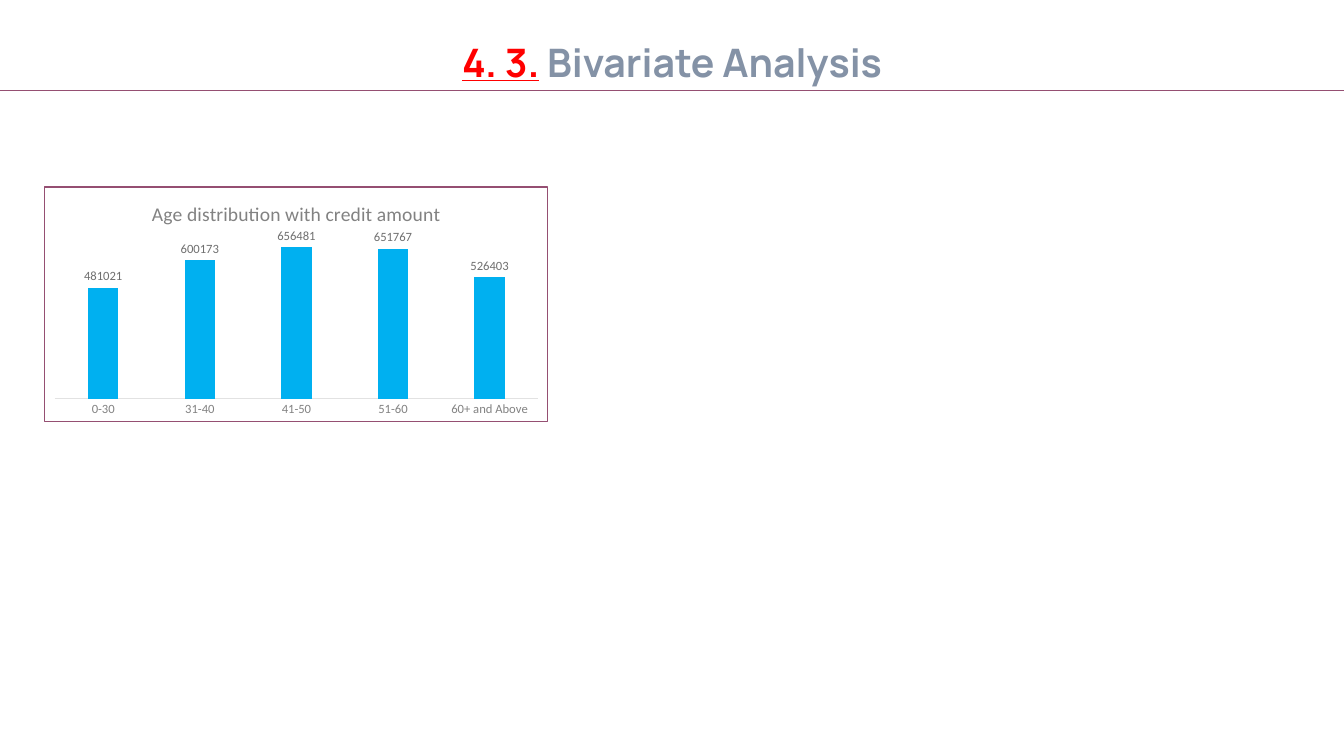
import pptx
import pptx.chart.data
import pptx.dml.color
import pptx.enum.chart
import pptx.enum.shapes
import pptx.enum.text
import pptx.oxml
import pptx.oxml.ns
import pptx.util
from pptx.util import Inches

COLORS = {
    "number": "FF0000",
    "heading": "8492A6",
    "border": "954F72",
    "bar": "00B0F0",
    "axis": "E2E2E2",
    "axis_text": "828282",
    "label": "6F6F6F",
    "paper": "FFFFFF",
}
SLIDE_W, SLIDE_H = 13.33, 7.5
CREDIT_BY_AGE = {
    "0-30": 481021,
    "31-40": 600173,
    "41-50": 656481,
    "51-60": 651767,
    "60+ and Above": 526403,
}


def rgb(name):
    return pptx.dml.color.RGBColor.from_string(COLORS[name])


def style_font(font, size, color, name="Calibri", bold=False, underline=False):
    font.size = pptx.util.Pt(size)
    font.name = name
    font.bold = bold
    font.underline = underline
    font.color.rgb = rgb(color)


def add_text(p, text, **fmt):
    r = p.add_run()
    r.text = text
    style_font(r.font, **fmt)
    return r


def add_heading(slide, x, y, w, h):
    # Title
    sp = slide.shapes.title
    sp.left, sp.top, sp.width, sp.height = map(Inches, (x, y, w, h))
    tf = sp.text_frame
    tf.word_wrap = True
    tf.auto_size = pptx.enum.text.MSO_AUTO_SIZE.SHAPE_TO_FIT_TEXT
    tf.vertical_anchor = pptx.enum.text.MSO_ANCHOR.TOP
    p = tf.paragraphs[0]
    p.alignment = pptx.enum.text.PP_ALIGN.CENTER
    add_text(p, "4. 3.", size=28, color="number", name="Manrope", bold=True, underline=True)
    add_text(p, " Bivariate Analysis", size=28, color="heading", name="Manrope", bold=True)

    # Rule along the bottom of the title
    rule = slide.shapes.add_connector(
        pptx.enum.shapes.MSO_CONNECTOR.STRAIGHT,
        Inches(x), Inches(y + h), Inches(x + w), Inches(y + h))
    rule.line.color.rgb = rgb("border")
    rule.line.width = pptx.util.Pt(0.5)
    rule._element.spPr.append(pptx.oxml.parse_xml(
        f'<a:effectLst {pptx.oxml.ns.nsdecls("a")}/>'))


def frame_chart(chart):
    # Chart area fill and border
    chart_space = chart._chartSpace
    chart_space.find(pptx.oxml.ns.qn("c:chart")).addnext(pptx.oxml.parse_xml(
        f'<c:spPr {pptx.oxml.ns.nsdecls("c", "a")}>'
        f'<a:solidFill><a:srgbClr val="{COLORS["paper"]}"/></a:solidFill>'
        f'<a:ln w="9525"><a:solidFill><a:srgbClr val="{COLORS["border"]}"/>'
        '</a:solidFill></a:ln></c:spPr>'))


def add_age_chart(slide, x, y, w, h):
    data = pptx.chart.data.CategoryChartData(number_format="0")
    data.categories = list(CREDIT_BY_AGE)
    data.add_series("Series 1", list(CREDIT_BY_AGE.values()))
    chart = slide.shapes.add_chart(
        pptx.enum.chart.XL_CHART_TYPE.COLUMN_CLUSTERED,
        Inches(x), Inches(y), Inches(w), Inches(h), data).chart
    style_font(chart.font, size=10, color="axis_text")
    frame_chart(chart)

    # Chart title
    chart.has_legend = False
    chart.has_title = True
    add_text(chart.chart_title.text_frame.paragraphs[0],
             "Age distribution with credit amount", size=14, color="axis_text")
    chart.chart_title.include_in_layout = False

    # Axes
    age_axis, credit_axis = chart.category_axis, chart.value_axis
    age_axis.major_tick_mark = pptx.enum.chart.XL_TICK_MARK.NONE
    age_axis.format.line.color.rgb = rgb("axis")
    age_axis.format.line.width = pptx.util.Pt(0.75)
    style_font(age_axis.tick_labels.font, size=9, color="axis_text")
    credit_axis.visible = False
    credit_axis.has_major_gridlines = False
    credit_axis.minimum_scale = 0
    credit_axis.maximum_scale = 700000

    # Bars and their values
    plot = chart.plots[0]
    plot.vary_by_categories = False
    plot.gap_width = 219
    plot.overlap = -27
    fill = plot.series[0].format.fill
    fill.solid()
    fill.fore_color.rgb = rgb("bar")
    labels = plot.series[0].data_labels
    labels.show_value = True
    labels.position = pptx.enum.chart.XL_LABEL_POSITION.OUTSIDE_END
    labels.number_format = "0"
    labels.number_format_is_linked = False
    style_font(labels.font, size=9, color="label")


def main():
    prs = pptx.Presentation()
    prs.slide_width, prs.slide_height = Inches(SLIDE_W), Inches(SLIDE_H)
    slide = prs.slides.add_slide(prs.slide_layouts[5])
    add_heading(slide, 0, 0.33, SLIDE_W, 0.57)
    add_age_chart(slide, 0.44, 1.85, 5, 2.34)
    prs.save("out.pptx")


if __name__ == "__main__":
    main()
